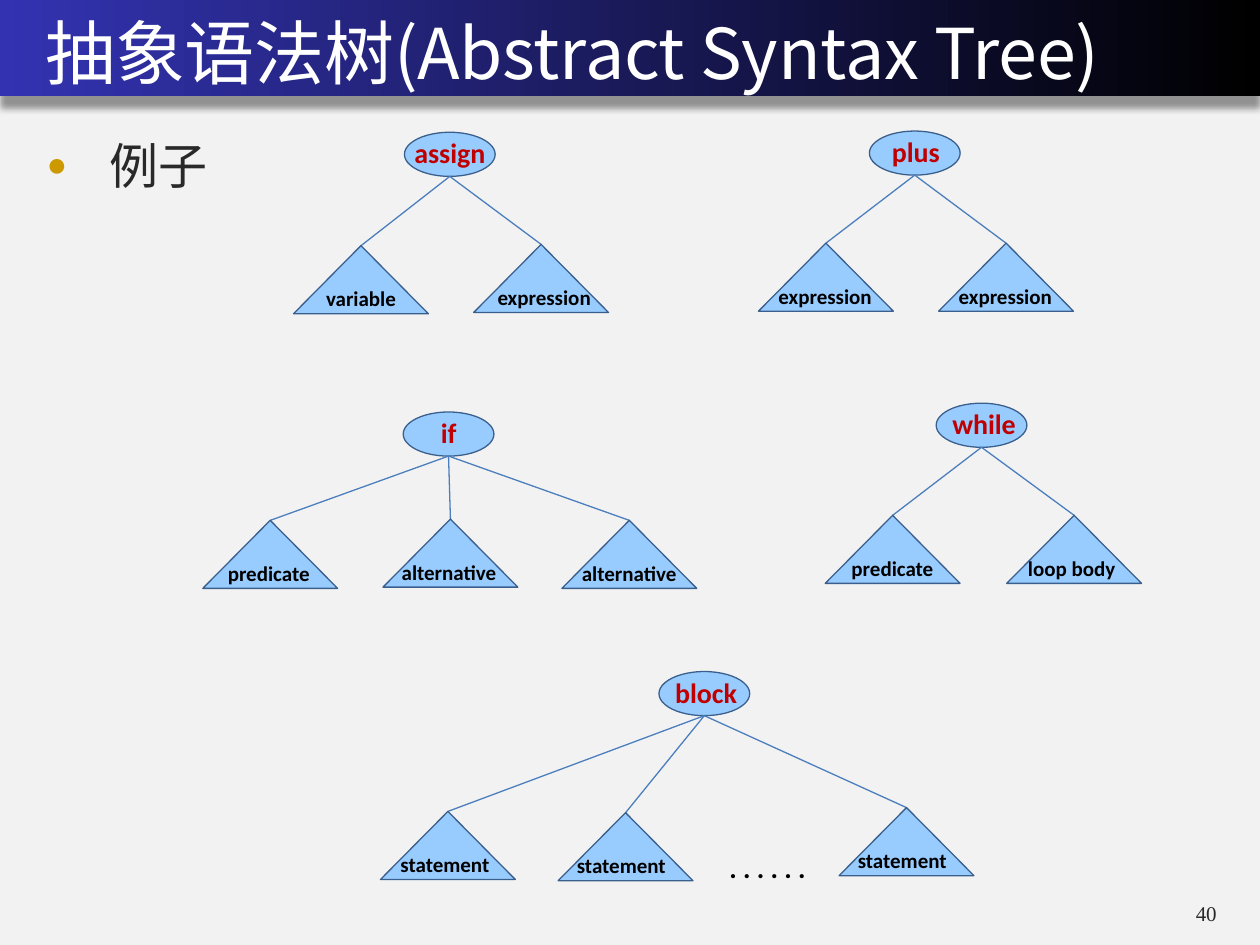
import pptx
import pptx.util
import pptx.dml.color
import pptx.enum.shapes
import pptx.enum.text
import pptx.oxml
import pptx.oxml.ns
from lxml import etree

Inches, Pt = pptx.util.Inches, pptx.util.Pt
RGBColor = pptx.dml.color.RGBColor
MSO_SHAPE = pptx.enum.shapes.MSO_SHAPE
qn = pptx.oxml.ns.qn

BACKGROUND = RGBColor(0xF2, 0xF2, 0xF2)
BLUE = RGBColor(0x33, 0x33, 0xB2)
BLACK = RGBColor(0, 0, 0)
WHITE = RGBColor(0xFF, 0xFF, 0xFF)
INK = RGBColor(0x29, 0x29, 0x29)
RED = RGBColor(0xC0, 0, 0)
NODE_FILL = RGBColor(0x98, 0xCC, 0xFF)
NODE_LINE = RGBColor(0x3A, 0x5F, 0x8C)
EDGE = RGBColor(0x4B, 0x7E, 0xBC)

CJK, SERIF, SANS = "Noto Sans CJK SC", "Times New Roman", "Calibri"

ROOT_W, ROOT_H = 0.72, 0.35
LEAF_W, LEAF_H = 1.07, 0.54
LABEL_W = {
    "assign": 0.77, "plus": 0.59, "if": 0.33, "while": 0.71, "block": 0.7,
    "variable": 0.76, "expression": 0.95, "predicate": 0.86,
    "alternative": 0.96, "loop body": 0.91, "statement": 0.91,
    ". . . . . .": 0.81,
}

# left, top, root offset, root word, root word offset,
# leaves: (x, y, word, word offset)
TREES = [
    (2.33, 1.05, 0.88, "assign", -0.02,
     [(0, 0.9, "variable", 0.16), (1.43, 0.89, "expression", 0.09)]),
    (6.02, 1.04, 0.88, "plus", 0.08,
     [(0, 0.89, "expression", 0.06), (1.43, 0.89, "expression", 0.06)]),
    (1.61, 3.27, 1.59, "if", 0.2,
     [(0, 0.86, "predicate", 0.1), (1.43, 0.85, "alternative", 0.05),
      (2.85, 0.86, "alternative", 0.06)]),
    (6.55, 3.2, 0.88, "while", 0.03,
     [(0, 0.89, "predicate", 0.11), (1.44, 0.89, "loop body", 0.07)]),
    (3.02, 5.33, 2.21, "block", 0.03,
     [(0, 1.11, "statement", 0.06), (1.41, 1.12, "statement", 0.05),
      (3.64, 1.08, "statement", 0.05)]),
]


def box(left, top, width, height):
    return [Inches(v) for v in (left, top, width, height)]


def place(sp, left, top, width, height):
    sp.left, sp.top, sp.width, sp.height = box(left, top, width, height)


def set_margins(tf, margin=0):
    tf.margin_left = tf.margin_right = margin
    tf.margin_top = tf.margin_bottom = margin


def add_run(p, text, size, font, color, bold=False, spacing=None):
    r = p.add_run()
    r.text = text
    r.font.size, r.font.name, r.font.bold = Pt(size), font, bold
    r.font.color.rgb = color
    if spacing is not None:
        r._r.get_or_add_rPr().set("spc", str(spacing))


def add_header(s, left, top, width, height):
    # Gradient bar with a soft shadow, behind the title
    bar = s.shapes.add_shape(MSO_SHAPE.RECTANGLE, *box(left, top, width, height))
    bar.line.fill.background()
    bar.fill.gradient()
    bar.fill.gradient_angle = 180
    for stop, color in zip(bar.fill.gradient_stops, (BLACK, BLUE)):
        stop.color.rgb = color
    bar.shadow.inherit = False
    shadow = etree.SubElement(
        bar._element.spPr.find(qn("a:effectLst")), qn("a:outerShdw"),
        blurRad=str(Pt(4)), dist=str(Pt(7)), dir="5400000", rotWithShape="0")
    clr = etree.SubElement(shadow, qn("a:srgbClr"), val="000000")
    etree.SubElement(clr, qn("a:alpha"), val="40000")
    s.shapes._spTree.insert(2, bar._element)

    # Title
    title = s.shapes.title
    place(title, left + 0.36, top + 0.06, width - 0.63, height - 0.07)
    tf = title.text_frame
    set_margins(tf)
    tf.auto_size = pptx.enum.text.MSO_AUTO_SIZE.NONE
    tf.vertical_anchor = pptx.enum.text.MSO_ANCHOR.MIDDLE
    p = tf.paragraphs[0]
    p.alignment = pptx.enum.text.PP_ALIGN.LEFT
    add_run(p, "抽象语法树(Abstract Syntax Tree)", 40, CJK, WHITE, spacing=-10)


def add_body(s, left, top, width, height):
    body = s.placeholders[1]
    place(body, left, top, width, height)
    tf = body.text_frame
    set_margins(tf)
    tf.auto_size = pptx.enum.text.MSO_AUTO_SIZE.NONE
    p = tf.paragraphs[0]
    pPr = p._p.get_or_add_pPr()
    pPr.set("marL", str(Inches(0.51)))
    pPr.set("indent", str(Inches(-0.5)))
    clr = etree.SubElement(pPr, qn("a:buClr"))
    etree.SubElement(clr, qn("a:srgbClr"), val="CC9900")
    etree.SubElement(pPr, qn("a:buSzPct"), val="70000")
    etree.SubElement(pPr, qn("a:buChar"), char="●")
    p.line_spacing, p.space_before = Pt(36), Pt(0)
    add_run(p, "例子", 28, SERIF, INK, spacing=-10)


def add_page_number(s, left, top, width, height):
    tf = s.shapes.add_textbox(*box(left, top, width, height)).text_frame
    set_margins(tf)
    tf.word_wrap = True
    p = tf.paragraphs[0]
    p.line_spacing = Pt(12.2)
    add_run(p, "40", 12, SERIF, INK)


def add_label(grp, left, top, text, size, color):
    height = 0.37 if size == 16 else 0.3
    tf = grp.shapes.add_textbox(*box(left, top, LABEL_W[text], height)).text_frame
    tf.word_wrap = False
    add_run(tf.paragraphs[0], text, size, SANS, color, bold=True)


def add_node(grp, kind, left, top, width, height):
    sp = grp.shapes.add_shape(kind, *box(left, top, width, height))
    sp.shadow.inherit = False
    sp.fill.solid()
    sp.fill.fore_color.rgb = NODE_FILL
    sp.line.color.rgb = NODE_LINE
    sp.line.width = Pt(0.75)


def add_edge(grp, x1, y1, x2, y2):
    line = grp.shapes.add_connector(
        pptx.enum.shapes.MSO_CONNECTOR.STRAIGHT, *box(x1, y1, x2, y2))
    line.line.color.rgb = EDGE
    line.line.width = Pt(0.75)
    etree.SubElement(line._element.spPr, qn("a:effectLst"))


def add_tree(s, left, top, root_dx, root, root_label_dx, leaves):
    grp = s.shapes.add_group_shape()
    root_x = left + root_dx
    add_node(grp, MSO_SHAPE.OVAL, root_x, top, ROOT_W, ROOT_H)
    add_label(grp, root_x + root_label_dx, top - 0.02, root, 16, RED)
    for dx, dy, text, label_dx in leaves:
        x, y = left + dx, top + dy
        add_edge(grp, root_x + ROOT_W / 2, top + ROOT_H, x + LEAF_W / 2, y)
        add_node(grp, MSO_SHAPE.ISOSCELES_TRIANGLE, x, y, LEAF_W, LEAF_H)
        add_label(grp, x + label_dx, y + 0.27, text, 12, BLACK)
    return grp


def main():
    prs = pptx.Presentation()
    prs.slide_width, prs.slide_height = Inches(10), Inches(7.5)
    s = prs.slides.add_slide(prs.slide_layouts[1])
    s.background.fill.solid()
    s.background.fill.fore_color.rgb = BACKGROUND

    add_header(s, 0, 0, 10, 0.76)
    add_body(s, 0.36, 1.04, 6.19, 0.49)
    for tree in TREES:
        grp = add_tree(s, *tree)
    # The block tree may have any number of statements
    add_label(grp, 5.69, 6.7, ". . . . . .", 16, BLACK)
    add_page_number(s, 9.49, 7.18, 0.75, 0.17)
    prs.save("out.pptx")


if __name__ == "__main__":
    main()
